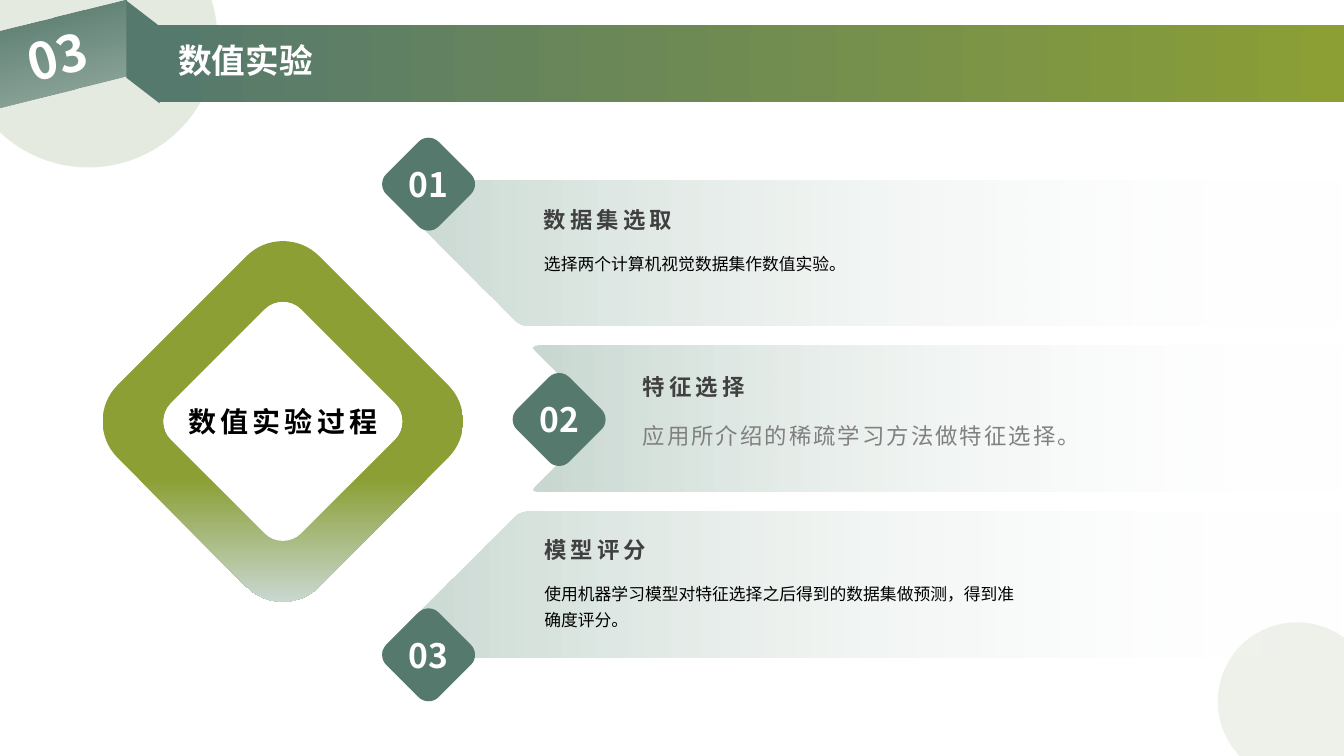
from math import dist

from lxml.etree import SubElement
from pptx import Presentation
from pptx.dml.color import RGBColor
from pptx.enum.shapes import MSO_SHAPE
from pptx.enum.text import MSO_ANCHOR, MSO_AUTO_SIZE, PP_ALIGN
from pptx.oxml import parse_xml
from pptx.oxml.ns import nsdecls, qn
from pptx.util import Cm, Pt

FONT = "Noto Sans CJK SC"
GREEN, OLIVE, SAGE, MIST = "56796D", "8B9F35", "ABBB9A", "C9D8D1"
WHITE, BLACK, DARK, GRAY = "FFFFFF", "000000", "404040", "808080"
BAND_FILL = ([(0, WHITE, 0), (100, MIST, 100)], 180)
BAND_RIGHT = 33.9
ROUNDNESS = 0.55
STEPS = [
    # number, badge centre, band corners (x, y, cut), heading corner, heading,
    # body, body style, body height
    ("01", (10.8, 4.64),
     [(9.46, 4.56, 0.5), (BAND_RIGHT, 4.56, 0.15), (BAND_RIGHT, 8.2, 0.15), (13.12, 8.2, 0.15)],
     (13.46, 5.07), "数据集选取", "选择两个计算机视觉数据集作数值实验。",
     (12, BLACK, 0), 0.91),
    ("02", (14.09, 10.57),
     [(13.36, 8.7, 0.2), (BAND_RIGHT, 8.7, 0.05), (BAND_RIGHT, 12.39, 0.05),
      (13.36, 12.39, 0.2), (15.21, 10.55, 0.05)],
     (15.95, 9.27), "特征选择", "应用所介绍的稀疏学习方法做特征选择。",
     (16, GRAY, 1.5), 1.14),
    ("03", (10.8, 16.5),
     [(13.1, 12.88, 0.15), (BAND_RIGHT, 12.88, 0.15), (BAND_RIGHT, 16.58, 0.15),
      (9.39, 16.58, 0.5)],
     (13.47, 13.39), "模型评分",
     "使用机器学习模型对特征选择之后得到的数据集做预测，得到准确度评分。",
     (12, BLACK, 0), 1.6),
]


def color(value):
    return RGBColor.from_string(value)


def paint(shape, fill, alpha=100):
    """Fill with a hex colour, or with a (stops, angle) gradient."""
    shape.shadow.inherit = False
    shape.line.fill.background()
    if isinstance(fill, str):
        shape.fill.solid()
        shape.fill.fore_color.rgb = color(fill)
        if alpha < 100:
            tint = shape.element.spPr.find(".//" + qn("a:srgbClr"))
            SubElement(tint, qn("a:alpha"), val=str(alpha * 1000))
        return
    stops, angle = fill
    stop_xml = "".join(
        f'<a:gs pos="{position * 1000}"><a:srgbClr val="{tint}">'
        f'<a:alpha val="{opacity * 1000}"/></a:srgbClr></a:gs>'
        for position, tint, opacity in stops)
    shape.fill.background()
    empty_fill = shape.element.spPr.find(qn("a:noFill"))
    empty_fill.getparent().replace(empty_fill, parse_xml(
        f'<a:gradFill {nsdecls("a")} rotWithShape="1"><a:gsLst>{stop_xml}</a:gsLst>'
        f'<a:lin ang="{angle * 60000}" scaled="0"/></a:gradFill>'))


def add_preset(slide, kind, box, fill, alpha=100, rotation=0):
    shape = slide.shapes.add_shape(kind, *map(Cm, box))
    shape.rotation = rotation
    paint(shape, fill, alpha)
    return shape


def toward(start, end, share):
    return tuple(a + (b - a) * share for a, b in zip(start, end))


def rounded(corners):
    """Start, middle and end of the arc at each (x, y, cut) corner."""
    outline = []
    for index, (x, y, cut) in enumerate(corners):
        corner = x, y
        before, after = corners[index - 1][:2], corners[(index + 1) % len(corners)][:2]
        start = toward(corner, before, cut / dist(corner, before))
        end = toward(corner, after, cut / dist(corner, after))
        middle = toward(toward(start, end, 0.5), corner, 0.75 * ROUNDNESS)
        outline += [start, middle, end]
    return outline


def diamond(center, reach, cut):
    x, y = center
    return rounded([(x, y - reach, cut), (x + reach, y, cut),
                    (x, y + reach, cut), (x - reach, y, cut)])


def point_of(segment):
    point = segment.find(qn("a:pt"))
    return int(point.get("x")), int(point.get("y"))


def bend_corners(shape):
    """Turn each start, middle, end triple of the outline into one cubic curve."""
    geometry = shape.element.spPr.find(".//" + qn("a:path"))
    segments = [segment for segment in geometry if segment.tag != qn("a:close")]
    for first, second, third in zip(segments[::3], segments[1::3], segments[2::3]):
        start, middle, end = map(point_of, (first, second, third))
        corner = toward(toward(start, end, 0.5), middle, 1 / (0.75 * ROUNDNESS))
        controls = toward(start, corner, ROUNDNESS), toward(end, corner, ROUNDNESS), end
        points = "".join(f'<a:pt x="{round(x)}" y="{round(y)}"/>' for x, y in controls)
        geometry.replace(second, parse_xml(
            f'<a:cubicBezTo {nsdecls("a")}>{points}</a:cubicBezTo>'))
        geometry.remove(third)


def add_outline(slide, outlines, fill):
    contours = [[(Cm(x), Cm(y)) for x, y in outline] for outline in outlines]
    builder = slide.shapes.build_freeform(*contours[0][0], scale=1.0)
    for index, contour in enumerate(contours):
        if index:
            builder.move_to(*contour[0])
        builder.add_line_segments(contour[1:], close=True)
    shape = builder.convert_to_shape()
    bend_corners(shape)
    paint(shape, fill)
    return shape


def write(shape, text, size, tint, bold=False, spacing=0, align=PP_ALIGN.LEFT,
          anchor=MSO_ANCHOR.MIDDLE, line_spacing=None):
    frame = shape.text_frame
    frame.word_wrap = True
    frame.vertical_anchor = anchor
    paragraph = frame.paragraphs[0]
    paragraph.alignment = align
    paragraph.line_spacing = line_spacing
    run = paragraph.add_run()
    run.text = text
    run.font.size = Pt(size)
    run.font.bold = bold
    run.font.color.rgb = color(tint)
    run.font.name = FONT
    properties = run.font._element
    SubElement(properties, qn("a:ea"), typeface=FONT)
    if spacing:
        properties.set("spc", str(int(spacing * 100)))


def add_text(slide, box, text, size, tint, bottom_inset=0.13, **style):
    shape = slide.shapes.add_textbox(*map(Cm, box))
    write(shape, text, size, tint, **style)
    shape.text_frame.margin_bottom = Cm(bottom_inset)
    shape.text_frame.auto_size = MSO_AUTO_SIZE.SHAPE_TO_FIT_TEXT
    return shape


def add_header(slide):
    add_preset(slide, MSO_SHAPE.OVAL, (-1.02, -2.28, 6.5, 6.5), SAGE, alpha=30)
    fold = add_preset(slide, MSO_SHAPE.PARALLELOGRAM, (2.31, 0.89, 2.59, 0.84),
                      GREEN, rotation=270)
    fold.adjustments[0] = 0.77
    add_preset(slide, MSO_SHAPE.PARALLELOGRAM, (-0.28, 0.41, 3.76, 1.88),
               ([(0, GREEN, 55), (100, GREEN, 100)], 270), rotation=346)
    bar = add_preset(slide, MSO_SHAPE.RECTANGLE, (3.99, 0.64, 29.88, 1.94),
                     ([(0, GREEN, 100), (100, OLIVE, 100)], 0))
    add_preset(slide, MSO_SHAPE.OVAL, (30.69, 15.68, 3.99, 3.99), SAGE, alpha=20)
    number = add_text(slide, (0.43, 0.4, 2.79, 1.8), "03", 36, WHITE, bold=True)
    number.rotation = 345

    title = slide.shapes.title
    title.left, title.top, title.width, title.height = map(Cm, (4.24, 0.89, 11.63, 1.27))
    write(title, "数值实验", 24, WHITE, bold=True, anchor=MSO_ANCHOR.TOP)
    title.text_frame.auto_size = MSO_AUTO_SIZE.SHAPE_TO_FIT_TEXT
    bar.element.addnext(title.element)


def add_step(slide, number, center, band, corner, heading, body, body_style, body_height):
    add_outline(slide, [rounded(band)], BAND_FILL)
    badge = add_outline(slide, [diamond(center, 1.32, 0.36)], GREEN)
    write(badge, number, 24, WHITE, bold=True, align=PP_ALIGN.CENTER)
    left, top = corner
    add_text(slide, (left, top, 4.34, 0.81), heading, 16, DARK, bottom_inset=0,
             bold=True, spacing=3)
    size, tint, spacing = body_style
    add_text(slide, (left, top + 1.04, 12.65, body_height), body, size, tint,
             spacing=spacing, anchor=MSO_ANCHOR.TOP, line_spacing=1.3)


def add_process_ring(slide):
    center = (7.13, 10.62)
    hole = diamond(center, 3.28, 0.65)
    add_outline(slide, [diamond(center, 5.08, 1.29), hole[::-1]],
                ([(0, OLIVE, 100), (66, OLIVE, 100), (100, MIST, 100)], 90))
    label = add_outline(slide, [hole], WHITE)
    write(label, "数值实验过程", 20, BLACK, bold=True, spacing=3, align=PP_ALIGN.CENTER)


def main():
    presentation = Presentation()
    presentation.slide_width, presentation.slide_height = Cm(33.87), Cm(19.05)
    slide = presentation.slides.add_slide(presentation.slide_layouts[5])
    add_header(slide)
    for step in STEPS:
        add_step(slide, *step)
    add_process_ring(slide)
    presentation.save("out.pptx")


if __name__ == "__main__":
    main()
